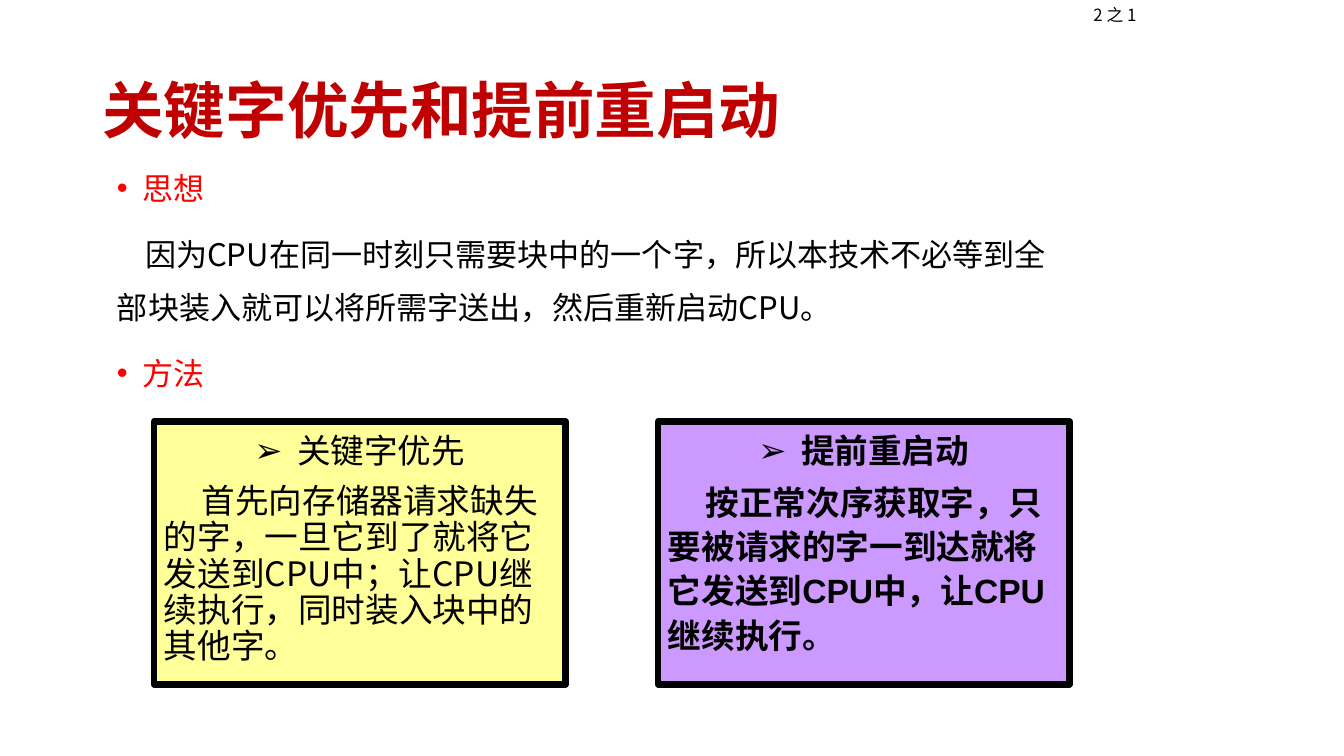
from pptx import Presentation
from pptx.dml.color import RGBColor
from pptx.enum.shapes import MSO_SHAPE
from pptx.enum.text import MSO_ANCHOR
from pptx.oxml.ns import qn
from pptx.util import Pt
from lxml import etree

RECT = MSO_SHAPE.RECTANGLE
TOP, MIDDLE = MSO_ANCHOR.TOP, MSO_ANCHOR.MIDDLE
BLACK = RGBColor(0, 0, 0)
RED = RGBColor(255, 0, 0)
DARK = RGBColor(192, 0, 0)
YELLOW = RGBColor(255, 255, 153)
PURPLE = RGBColor(204, 153, 255)
HAN = "Noto Sans CJK SC"

TITLE = "关键字优先和提前重启动"
PAGE = "2 之 1"
# text, colour, bullet
BODY = [
    ("思想", RED, "•"),
    ("因为CPU在同一时刻只需要块中的一个字，所以本技术不必等到全部块装入"
     "就可以将所需字送出，然后重新启动CPU。", BLACK, None),
    ("方法", RED, "•"),
]
# heading, text, fill, font, bold, line spacing of the text, space before
CARDS = [
    ("关键字优先",
     "首先向存储器请求缺失的字，一旦它到了就将它发送到CPU中；"
     "让CPU继续执行，同时装入块中的其他字。", YELLOW, HAN, False, 0.9, 10),
    ("提前重启动",
     "按正常次序获取字，只要被请求的字一到达就将它发送到CPU中，"
     "让CPU继续执行。", PURPLE, "Arial", True, 1.1, 5),
]
CARD_X, CARD_Y, CARD_W, CARD_H, STEP = 110, 301, 294, 188, 360


def write(frame, text, size, color=BLACK, font=HAN, bold=False, spacing=1.0,
          before=0, bullet=None, indent=0):
    """Add a paragraph; indent hangs the bullet, or insets the first line."""
    para = frame.paragraphs[0]
    if para.runs:
        para = frame.add_paragraph()
        para.space_before = Pt(before)
    para.line_spacing = spacing
    props = para._p.get_or_add_pPr()
    props.set("marL", str(Pt(indent if bullet else 0)))
    props.set("indent", str(Pt(-indent if bullet else indent)))
    if bullet:
        etree.SubElement(props, qn("a:buFont"), typeface="Arial")
        etree.SubElement(props, qn("a:buChar"), char=bullet)
    run = para.add_run()
    run.text = text
    run.font.size = Pt(size)
    run.font.bold = bold
    run.font.color.rgb = color
    run.font.name = font
    etree.SubElement(run._r.get_or_add_rPr(), qn("a:ea"), typeface=HAN)


def setup(shape, anchor=TOP):
    frame = shape.text_frame
    frame.word_wrap = True
    frame.vertical_anchor = anchor
    return frame


def box(slide, x, y, w, h, anchor=TOP):
    return setup(slide.shapes.add_textbox(Pt(x), Pt(y), Pt(w), Pt(h)), anchor)


def card(slide, x, fill):
    shape = slide.shapes.add_shape(RECT, Pt(x), Pt(CARD_Y), Pt(CARD_W), Pt(CARD_H))
    shape.shadow.inherit = False
    shape.fill.solid()
    shape.fill.fore_color.rgb = fill
    shape.line.color.rgb = BLACK
    shape.line.width = Pt(4.5)
    return setup(shape)


def main():
    deck = Presentation()
    deck.slide_width, deck.slide_height = Pt(960), Pt(540)
    slide = deck.slides.add_slide(deck.slide_layouts[6])

    write(box(slide, 66, 29, 828, 104, MIDDLE), TITLE, 44, DARK,
          bold=True, spacing=0.9)

    body = box(slide, 76.5, 107, 698, 180)
    for text, color, bullet in BODY:
        write(body, text, 22.2, color, spacing=1.4, before=10, bullet=bullet,
              indent=18 if bullet else 20)

    for i, (head, text, fill, font, bold, spacing, before) in enumerate(CARDS):
        frame = card(slide, CARD_X + i * STEP, fill)
        write(frame, head, 24, font=font, bold=bold, spacing=1.1,
              bullet="➢", indent=30.5)
        write(frame, text, 24, font=font, bold=bold, spacing=spacing,
              before=before, indent=27)

    write(box(slide, 774, 0, 66, 22), PAGE, 12)
    deck.save("out.pptx")


if __name__ == "__main__":
    main()
